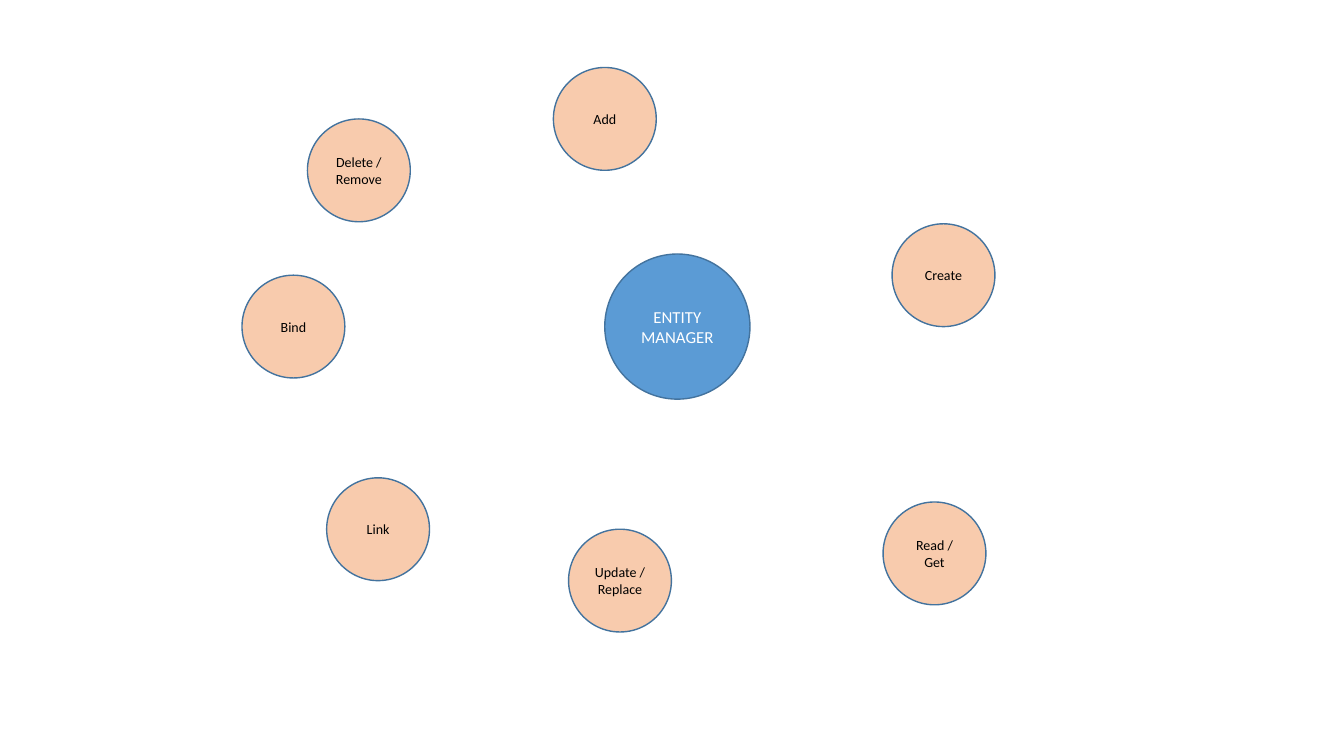
from dataclasses import dataclass

from pptx import Presentation
from pptx import util as u
from pptx.dml.color import RGBColor
from pptx.enum import shapes, text
from pptx.shapes.autoshape import Shape
from pptx.slide import Slide

SLIDE_WIDTH = u.Inches(13.33)
SLIDE_HEIGHT = u.Inches(7.5)
FONT = "Calibri"
COLOURS = {
    "hub": "5B9BD5",
    "operation": "F8CBAD",
    "outline": "43739E",
    "white": "FFFFFF",
    "black": "000000",
}


@dataclass(frozen=True)
class Style:
    diameter: float  # percent of slide height
    fill: str
    font_colour: str
    font_size: int


@dataclass(frozen=True)
class Circle:
    label: str
    centre_x: float  # percent of slide width
    centre_y: float  # percent of slide height
    style: Style


HUB = Style(19.2, "hub", "white", 12)
OPERATION = Style(13.6, "operation", "black", 10)

CIRCLES = [
    Circle("ENTITY MANAGER", 50.4, 43.2, HUB),
    Circle("Create", 70.2, 36.4, OPERATION),
    Circle("Read / Get", 69.53, 73.2, OPERATION),
    Circle("Update / Replace", 46.13, 76.8, OPERATION),
    Circle("Add", 45, 15.73, OPERATION),
    Circle("Delete / Remove", 26.7, 22.53, OPERATION),
    Circle("Link", 28.13, 70, OPERATION),
    Circle("Bind", 21.83, 43.2, OPERATION),
]


def colour(name: str) -> RGBColor:
    return RGBColor.from_string(COLOURS[name])


def share(percent: float, length: int) -> int:
    return round(percent / 100 * length)


def write_label(shape: Shape, label: str, style: Style) -> None:
    frame = shape.text_frame
    frame.text = label
    frame.word_wrap = True
    frame.vertical_anchor = text.MSO_ANCHOR.MIDDLE
    para = frame.paragraphs[0]
    para.alignment = text.PP_ALIGN.CENTER
    font = para.runs[0].font
    font.name = FONT
    font.size = u.Pt(style.font_size)
    font.color.rgb = colour(style.font_colour)


def draw_circle(page: Slide, circle: Circle) -> None:
    style = circle.style
    diameter = share(style.diameter, SLIDE_HEIGHT)
    left = share(circle.centre_x, SLIDE_WIDTH) - diameter // 2
    top = share(circle.centre_y, SLIDE_HEIGHT) - diameter // 2
    shape = page.shapes.add_shape(
        shapes.MSO_SHAPE.OVAL, left, top, diameter, diameter
    )
    shape.shadow.inherit = False
    shape.fill.solid()
    shape.fill.fore_color.rgb = colour(style.fill)
    shape.line.color.rgb = colour("outline")
    shape.line.width = u.Pt(1)
    write_label(shape, circle.label, style)


def main() -> None:
    deck = Presentation()
    deck.slide_width = SLIDE_WIDTH
    deck.slide_height = SLIDE_HEIGHT

    # Blank page with the manager and its operations
    page = deck.slides.add_slide(deck.slide_layouts[6])
    for circle in CIRCLES:
        draw_circle(page, circle)

    deck.save("out.pptx")


if __name__ == "__main__":
    main()
